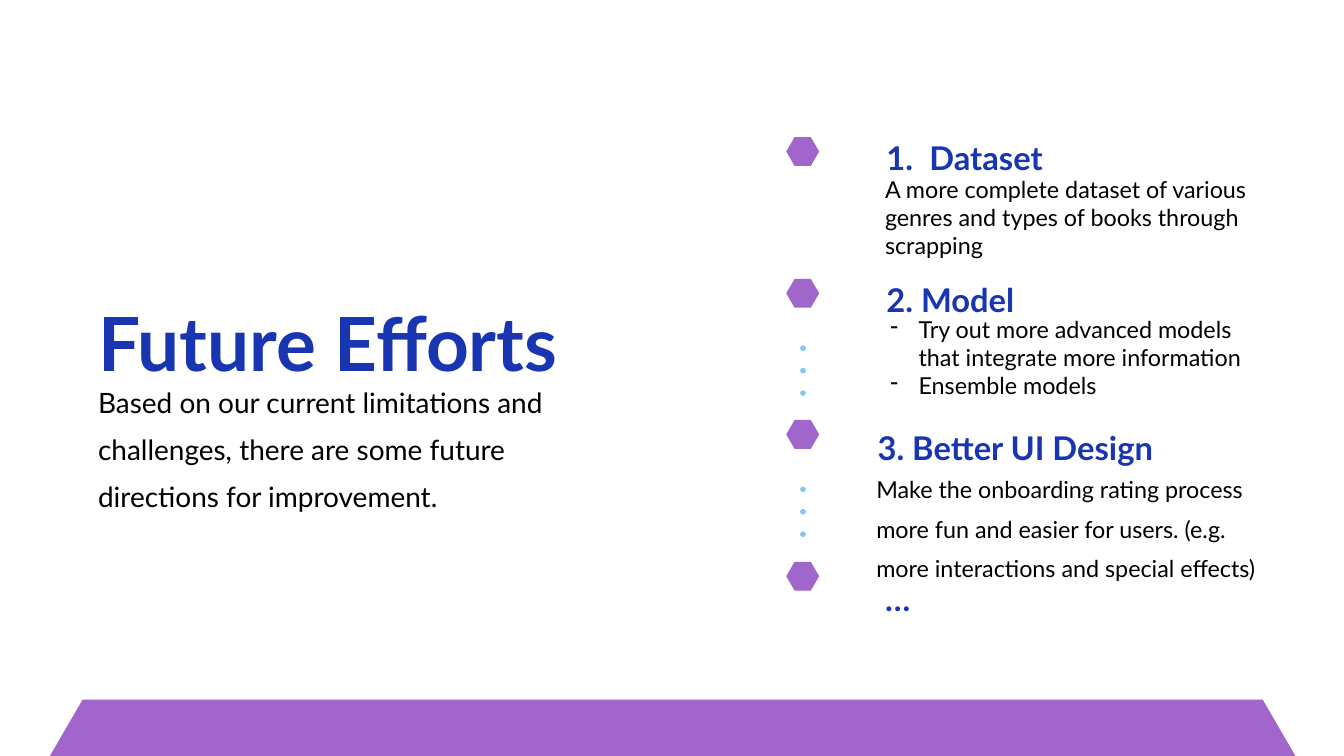
import pptx
import pptx.dml.color
import pptx.enum.shapes
import pptx.enum.text
import pptx.oxml.ns
import pptx.util
from lxml import etree
from pptx.util import Inches

FONT = "Lato"
BLUE, PURPLE, SKY, BLACK = "1836B2", "A066CB", "86C7ED", "000000"
STEP_TOPS = [2.04, 4.15, 6.25, 8.36]


def rgb(value):
    return pptx.dml.color.RGBColor.from_string(value)


def add_element(parent, tag, **attributes):
    return etree.SubElement(parent, pptx.oxml.ns.qn(tag), attributes)


def add_text(s, text, left, top, width, height, size=25, color=BLACK, bold=False,
             spacing=None, middle=False, bullet=None, tab=None):
    """Add a text box with one paragraph for each line of text."""
    sp = s.shapes.add_textbox(Inches(left), Inches(top), Inches(width), Inches(height))
    tf = sp.text_frame
    tf.word_wrap = True
    tf.margin_left = tf.margin_right = tf.margin_top = tf.margin_bottom = 0
    if middle:
        tf.vertical_anchor = pptx.enum.text.MSO_ANCHOR.MIDDLE
    else:
        tf.auto_size = pptx.enum.text.MSO_AUTO_SIZE.SHAPE_TO_FIT_TEXT
    for i, line in enumerate(text.split("\n")):
        p = tf.add_paragraph() if i else tf.paragraphs[0]
        pPr = p._p.get_or_add_pPr()
        if bullet:
            pPr.set("marL", str(Inches(0.5)))
            pPr.set("indent", str(Inches(-0.42)))
            bu_color = add_element(pPr, "a:buClr")
            add_element(bu_color, "a:srgbClr", val=color)
            add_element(pPr, "a:buChar", char=bullet)
        if tab:
            tabs = add_element(pPr, "a:tabLst")
            add_element(tabs, "a:tab", pos=str(Inches(tab)), algn="l")
        if spacing:
            p.line_spacing = spacing
        r = p.add_run()
        r.text = line
        r.font.name = FONT
        r.font.size = pptx.util.Pt(size)
        r.font.bold = bold
        r.font.color.rgb = rgb(color)
    return sp


def add_heading(s, text, left, top, width, **fmt):
    return add_text(s, text, left, top, width, 0.59, size=35, color=BLUE, bold=True,
                    spacing=1.2, **fmt)


def add_hexagon(s, left, top, width, height):
    sp = s.shapes.add_shape(pptx.enum.shapes.MSO_SHAPE.HEXAGON, Inches(left), Inches(top),
                            Inches(width), Inches(height))
    sp.adjustments[0] = 0.29
    sp.shadow.inherit = False
    sp.fill.solid()
    sp.fill.fore_color.rgb = rgb(PURPLE)
    sp.line.fill.background()
    return sp


def add_dots(s, x, top, bottom):
    """Draw a round-dotted vertical line, starting at its lower end."""
    line = s.shapes.add_connector(pptx.enum.shapes.MSO_CONNECTOR.STRAIGHT,
                                  Inches(x), Inches(bottom), Inches(x), Inches(top))
    line.line.color.rgb = rgb(SKY)
    line.line.width = pptx.util.Pt(6)
    ln = line.line._get_or_add_ln()
    ln.set("cap", "rnd")
    add_element(ln, "a:prstDash", val="dot")
    add_element(line._element.spPr, "a:effectLst")


def add_intro(s, left, top, width):
    add_text(s, "Future Efforts", left, top, width, 1.35, size=80, color=BLUE, bold=True,
             spacing=1.4)
    add_text(s, "Based on our current limitations and challenges, there are some future "
             "directions for improvement.", left, top + 1.64, width, 1.92, size=30, spacing=1.4)


def add_timeline(s, left, width):
    for top in STEP_TOPS:
        add_hexagon(s, left, top, width, 0.43)
    for top in STEP_TOPS[1:3]:
        add_dots(s, left + 0.25, top + 0.75, top + 1.7)


def add_steps(s, left):
    add_heading(s, "1.\tDataset", left + 0.02, 1.93, 3.71, tab=0.64)
    add_text(s, "A more complete dataset of various genres and types of books through scrapping",
             left, 2.58, 6.42, 1.31, middle=True)
    add_heading(s, "2. Model", left + 0.02, 4.04, 3.71)
    add_text(s, "Try out more advanced models that integrate more information\nEnsemble models",
             left, 4.69, 5.69, 1.68, bullet="-")
    add_heading(s, "3. Better UI Design", left - 0.11, 6.25, 4.83)
    add_text(s, "Make the onboarding rating process more fun and easier for users. "
             "(e.g. more interactions and special effects)",
             left - 0.13, 6.91, 5.94, 1.6, spacing=1.4)
    add_heading(s, "…", left, 8.5, 4.83)


def main():
    prs = pptx.Presentation()
    prs.slide_width, prs.slide_height = Inches(20), Inches(11.25)
    s = prs.slides.add_slide(prs.slide_layouts[6])
    add_intro(s, 1.46, 3.89, 7.53)
    add_steps(s, 13.17)
    add_timeline(s, 11.7, 0.49)
    add_hexagon(s, 0.74, 10.41, 18.54, 1.69)
    prs.save("out.pptx")


if __name__ == "__main__":
    main()
